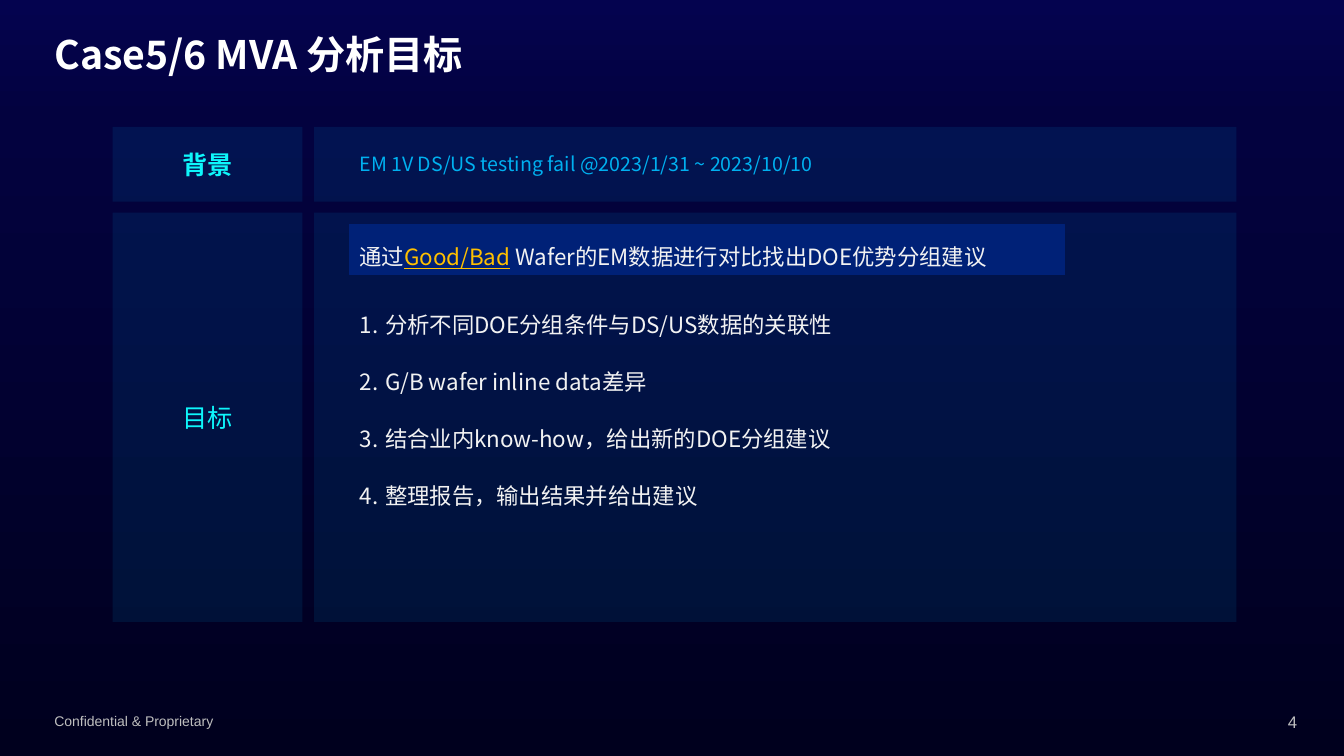
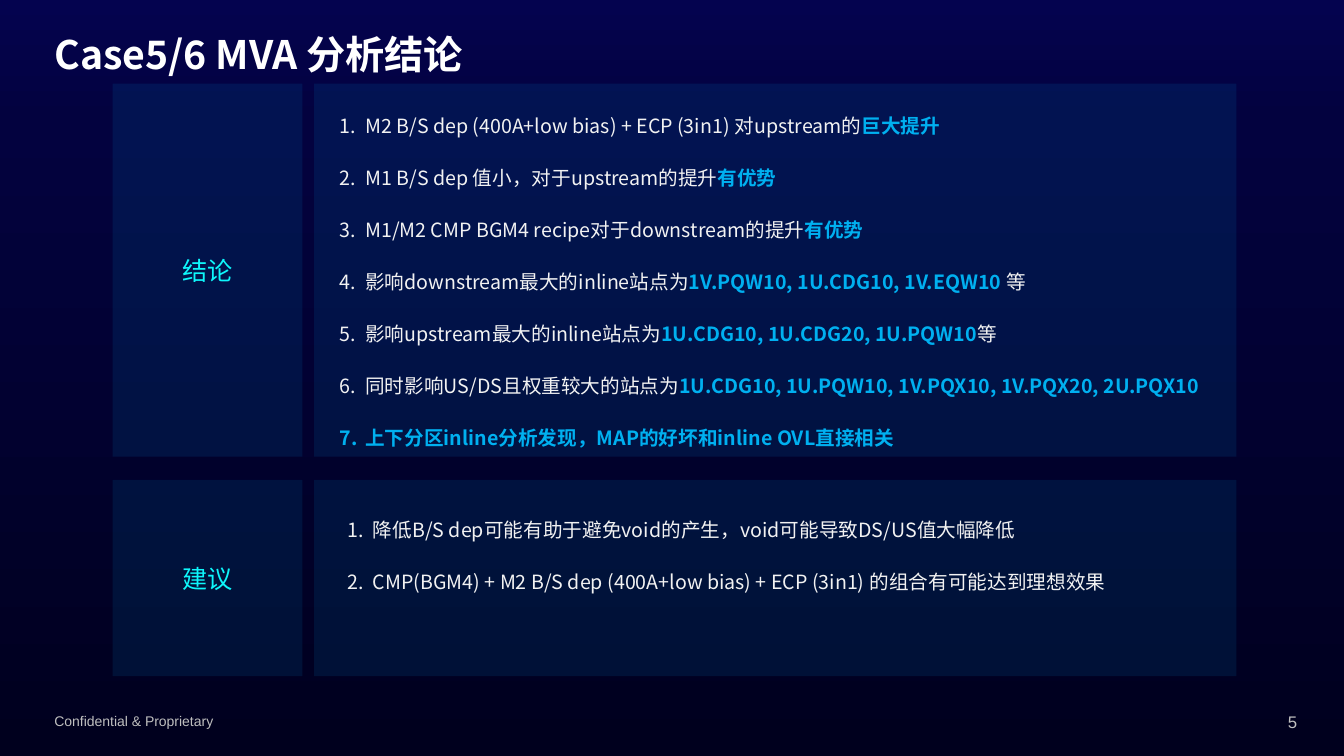
from copy import deepcopy

from lxml.etree import SubElement
from pptx import Presentation
from pptx.dml.color import RGBColor
from pptx.enum.shapes import MSO_SHAPE
from pptx.enum.text import MSO_ANCHOR, MSO_AUTO_SIZE, PP_ALIGN
from pptx.oxml.ns import qn
from pptx.util import Cm, Pt

FONT = "Noto Sans CJK SC"
WHITE, LIGHT, GREY = "FFFFFF", "F2F2F2", "BFBFBF"
BLUE, CYAN, NAVY, GOLD = "00B0F0", "0EF6FB", "002177", "FFC000"
BACKDROP = ((0, "04034F"), (0.16, "03023F"), (1, "00001E"))
LABEL_X, LABEL_W = 2.84, 4.78
PANEL_X, PANEL_W = 7.92, 23.24
KEY = {"color": BLUE, "bold": True}


def rgb(value):
    """Turn a hex string into a colour."""
    return RGBColor.from_string(value)


def add_run(p, text, size=14, color=LIGHT, bold=False, underline=False, font=FONT):
    """Append formatted text to a paragraph and return the run."""
    r = p.add_run()
    r.text = text
    r.font.size, r.font.bold, r.font.underline = Pt(size), bold, underline
    r.font.color.rgb = rgb(color)
    r.font.name = font
    SubElement(r.font._element, qn("a:ea"), typeface=font)
    return r


def place(sp, x, y, w, h):
    """Position a shape, with lengths in centimetres."""
    sp.left, sp.top, sp.width, sp.height = Cm(x), Cm(y), Cm(w), Cm(h)


def prepare(tf, anchor=MSO_ANCHOR.TOP):
    """Give a text frame wrapping, a fixed size and an anchor."""
    tf.word_wrap = True
    tf.auto_size = MSO_AUTO_SIZE.NONE
    tf.vertical_anchor = anchor
    return tf


def add_box(s, x, y, w, h):
    """Add a text box and return its text frame."""
    return prepare(s.shapes.add_textbox(Cm(x), Cm(y), Cm(w), Cm(h)).text_frame)


def add_line(s, box, text, align=PP_ALIGN.LEFT, **style):
    """Add a text box holding a single line."""
    p = add_box(s, *box).paragraphs[0]
    p.alignment = align
    add_run(p, text, **style)


def space_out(p):
    """Justify a paragraph with the wide spacing of the body text."""
    p.alignment = PP_ALIGN.JUSTIFY
    p.line_spacing, p.space_before, p.space_after = 1.5, Pt(0), Pt(12)


def fill_list(tf, items, size):
    """Write numbered items, each a list of (text, style) runs."""
    prepare(tf)
    for i, item in enumerate(items):
        p = tf.add_paragraph() if i else tf.paragraphs[0]
        space_out(p)
        pPr = p._p.get_or_add_pPr()
        pPr.set("marL", str(Cm(0.64)))
        pPr.set("indent", str(-Cm(0.64)))
        SubElement(pPr, qn("a:buFont"), typeface=FONT)
        SubElement(pPr, qn("a:buAutoNum"), type="arabicPeriod")
        for text, style in item:
            add_run(p, text, size=size, **style)


def add_rect(s, x, y, w, h, color, alpha=None):
    """Add a borderless rectangle, optionally see-through."""
    sp = s.shapes.add_shape(MSO_SHAPE.RECTANGLE, Cm(x), Cm(y), Cm(w), Cm(h))
    sp.shadow.inherit = False
    sp.fill.solid()
    sp.fill.fore_color.rgb = rgb(color)
    sp.line.fill.background()
    if alpha is not None:
        clr = sp._element.spPr.find(qn("a:solidFill"))[0]
        SubElement(clr, qn("a:alpha"), val=str(alpha * 1000))
    return sp


def add_row(s, label, y, h, bold=False):
    """Add a label cell and its content panel behind the slide's text."""
    cell = add_rect(s, LABEL_X, y, LABEL_W, h, BLUE, alpha=10)
    panel = add_rect(s, PANEL_X, y, PANEL_W, h, BLUE, alpha=10)
    p = prepare(cell.text_frame, MSO_ANCHOR.MIDDLE).paragraphs[0]
    p.alignment = PP_ALIGN.CENTER
    add_run(p, label, size=18, color=CYAN, bold=bold)
    for sp in (cell, panel):
        s.shapes.title._element.addprevious(sp._element)


def add_text_shadow(r):
    """Cast a soft dark shadow from a run."""
    rPr = r.font._element
    effects = SubElement(rPr, qn("a:effectLst"))
    shadow = SubElement(effects, qn("a:outerShdw"), blurRad="38100",
                        dist="38100", dir="2700000", algn="tl")
    clr = SubElement(shadow, qn("a:srgbClr"), val="000000")
    SubElement(clr, qn("a:alpha"), val="43000")
    rPr.find(qn("a:solidFill")).addnext(effects)


def set_backdrop(master):
    """Give the slide master the vertical gradient that all slides share."""
    fill = master.background.fill
    fill.gradient()
    fill.gradient_angle = 270
    stops = master._element.find(".//" + qn("a:gsLst"))
    stops.insert(1, deepcopy(stops[0]))
    for stop, (position, color) in zip(fill.gradient_stops, BACKDROP):
        stop.position = position
        stop.color.rgb = rgb(color)


def add_slide(prs, title, number):
    """Add a slide with its title and footer."""
    s = prs.slides.add_slide(prs.slide_layouts[1])
    place(s.shapes.title, 1.12, 0.76, 25.6, 1.35)
    p = prepare(s.shapes.title.text_frame, MSO_ANCHOR.MIDDLE).paragraphs[0]
    p.alignment, p.line_spacing = PP_ALIGN.LEFT, 0.9
    add_text_shadow(add_run(p, title, size=28, color=WHITE, bold=True))
    add_line(s, (1.12, 17.83, 11.43, 0.69), "Confidential & Proprietary",
             size=10, color=GREY, font="Arial")
    add_line(s, (31.67, 17.81, 1.27, 0.76), str(number), PP_ALIGN.RIGHT,
             size=12, color=GREY, font="Arial")
    return s


def add_goals(prs):
    """Build the slide on background and goals."""
    s = add_slide(prs, "Case5/6 MVA 分析目标", 4)
    add_row(s, "背景", 3.2, 1.88, bold=True)
    add_row(s, "目标", 5.36, 10.31)
    add_line(s, (8.81, 3.71, 13.74, 0.86),
             "EM 1V DS/US testing fail @2023/1/31 ~ 2023/10/10", color=BLUE)
    goal = add_rect(s, 8.81, 5.66, 18.03, 1.27, NAVY)
    goal.line.color.rgb = rgb(NAVY)
    goal.line.width = Pt(0.75)
    p = prepare(goal.text_frame).paragraphs[0]
    space_out(p)
    add_run(p, "通过", size=16)
    add_run(p, "Good/Bad", size=16, color=GOLD, underline=True)
    add_run(p, " Wafer的EM数据进行对比找出DOE优势分组建议", size=16)
    body = s.placeholders[1]
    place(body, 8.81, 7.37, 18.03, 5.64)
    fill_list(body.text_frame, [
        [("分析不同DOE分组条件与DS/US数据的关联性", {})],
        [("G/B wafer inline data差异", {})],
        [("结合业内know-how，给出新的DOE分组建议", {})],
        [("整理报告，输出结果并给出建议", {})],
    ], 16)


def add_conclusions(prs):
    """Build the slide on conclusions and suggestions."""
    s = add_slide(prs, "Case5/6 MVA 分析结论", 5)
    add_row(s, "结论", 2.11, 9.4)
    add_row(s, "建议", 12.09, 4.95)
    body = s.placeholders[1]
    place(body, 8.31, 2.44, 22.86, 9.09)
    fill_list(body.text_frame, [
        [("M2 B/S dep (400A+low bias) + ECP (3in1) 对upstream的", {}), ("巨大提升", KEY)],
        [("M1 B/S dep 值小，对于upstream的提升", {}), ("有优势", KEY)],
        [("M1/M2 CMP BGM4 recipe对于downstream的提升", {}), ("有优势", KEY)],
        [("影响downstream最大的inline站点为", {}),
         ("1V.PQW10, 1U.CDG10, 1V.EQW10 ", KEY), ("等", {})],
        [("影响upstream最大的inline站点为", {}),
         ("1U.CDG10, 1U.CDG20, 1U.PQW10", KEY), ("等", {})],
        [("同时影响US/DS且权重较大的站点为", {}),
         ("1U.CDG10, 1U.PQW10, 1V.PQX10, 1V.PQX20, 2U.PQX10", KEY)],
        [("上下分区inline分析发现，MAP的好坏和inline OVL直接相关", KEY)],
    ], 14)
    fill_list(add_box(s, 8.51, 12.62, 20.7, 2.39), [
        [("降低B/S dep可能有助于避免void的产生，void可能导致DS/US值大幅降低", {})],
        [("CMP(BGM4) + M2 B/S dep (400A+low bias) + ECP (3in1) 的组合有可能达到理想效果", {})],
    ], 14)


def main():
    """Build and save the presentation."""
    prs = Presentation()
    prs.slide_width, prs.slide_height = Cm(33.87), Cm(19.05)
    set_backdrop(prs.slide_master)
    add_goals(prs)
    add_conclusions(prs)
    prs.save("out.pptx")


if __name__ == "__main__":
    main()
